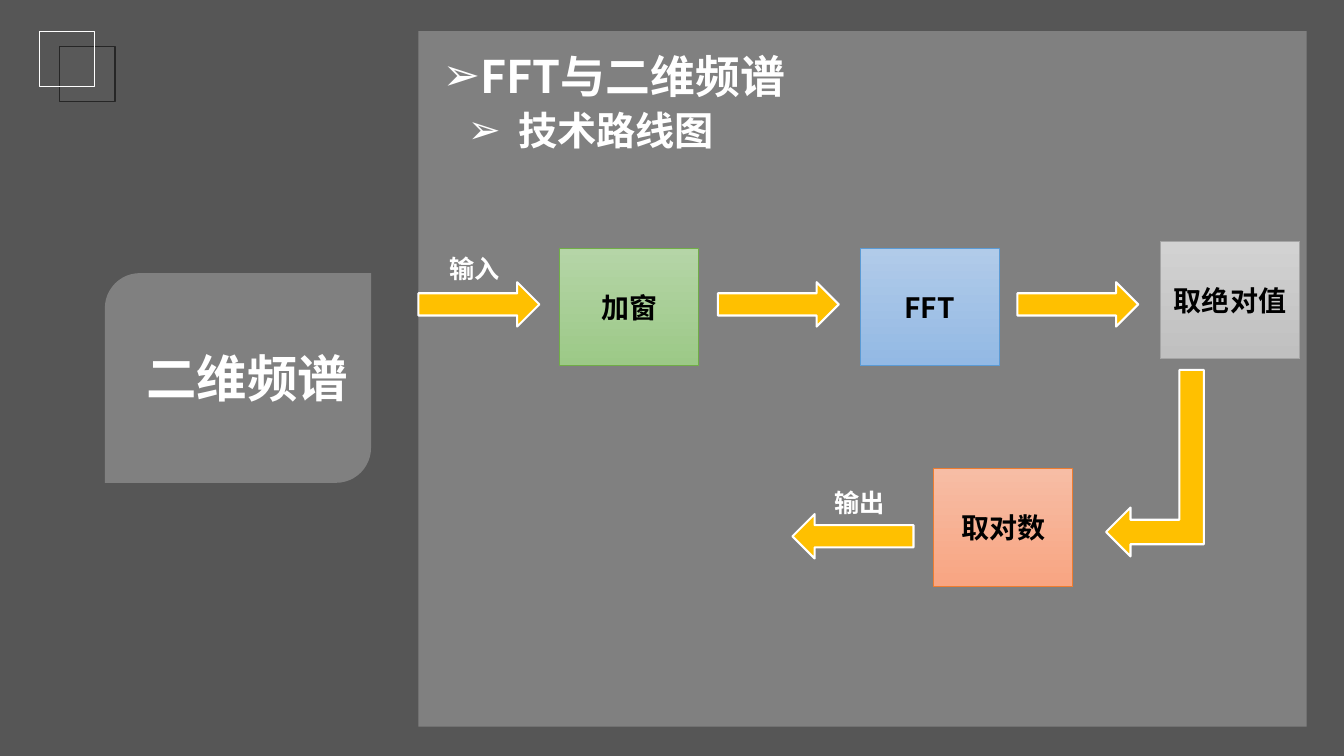
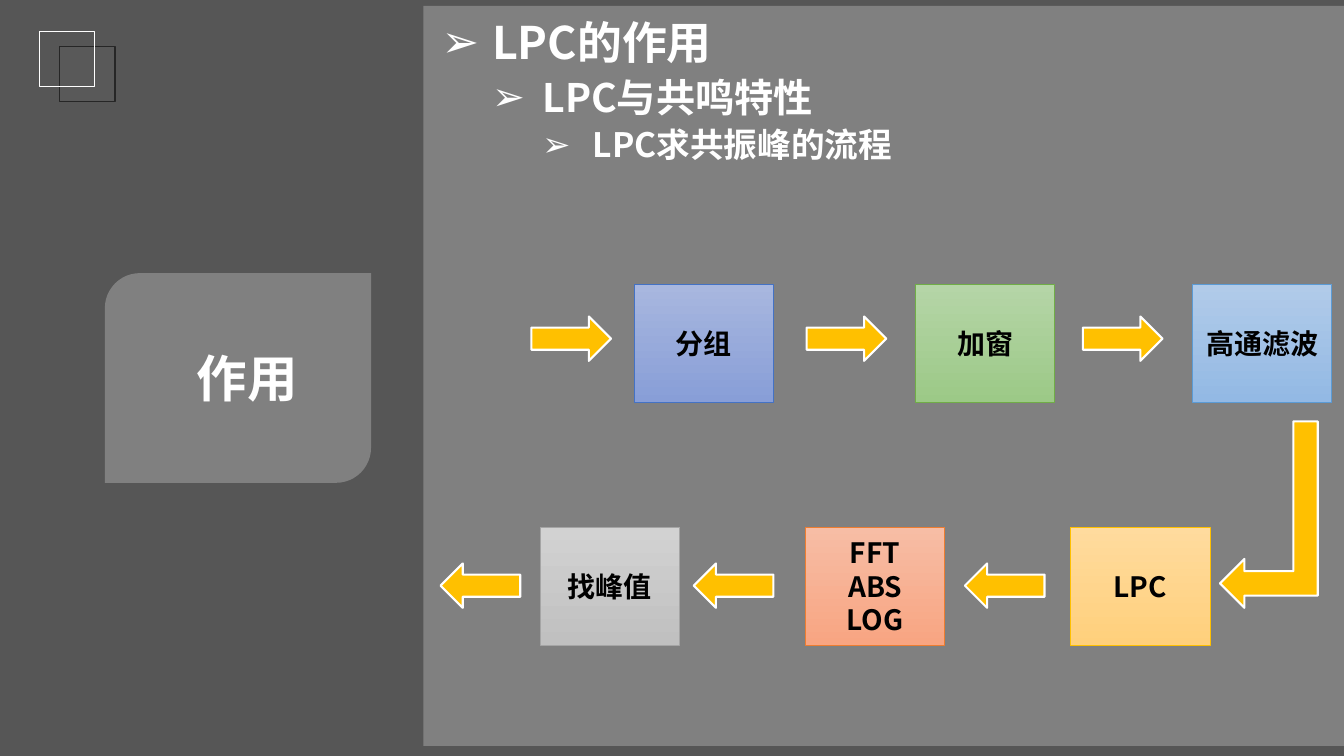
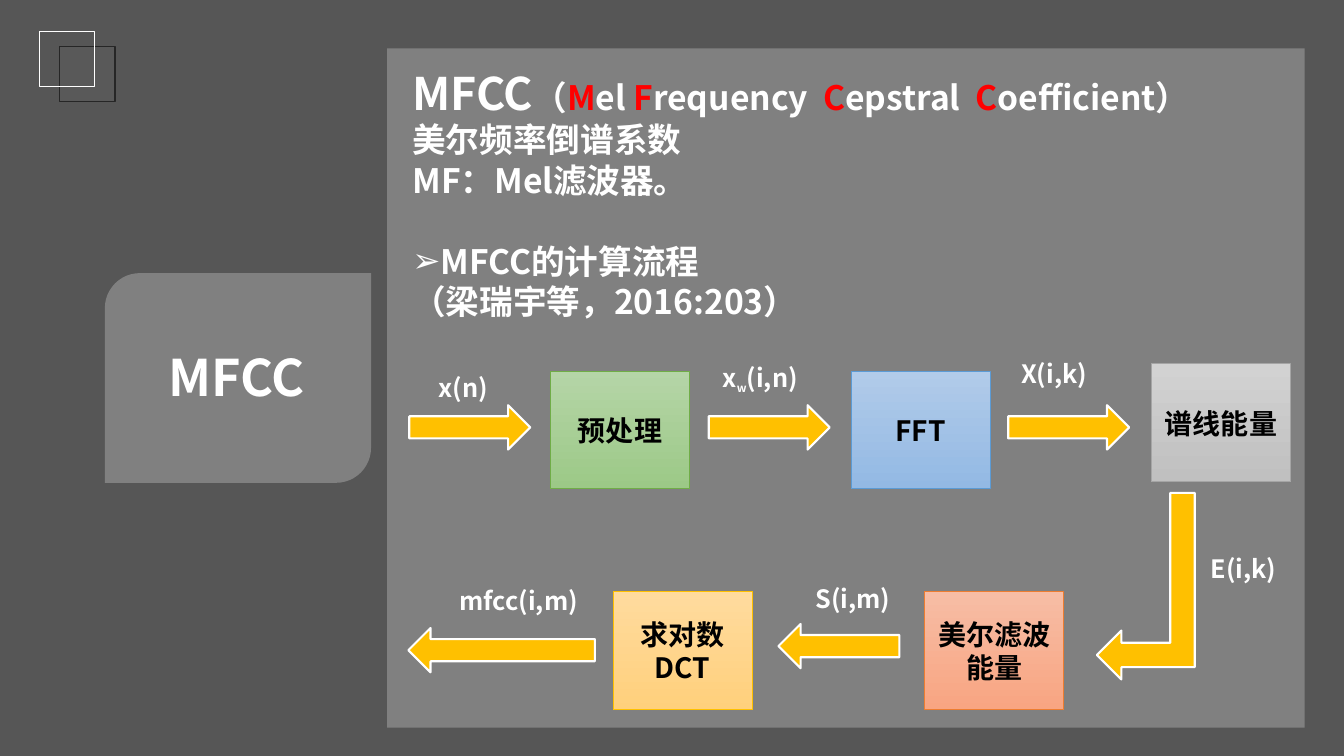
"""Build three slides of signal-processing flow charts on a dark theme."""
from lxml import etree
from pptx import Presentation
from pptx.dml.color import RGBColor
from pptx.enum.shapes import MSO_SHAPE
from pptx.enum.text import MSO_ANCHOR, MSO_AUTO_SIZE, PP_ALIGN
from pptx.oxml.ns import qn
from pptx.util import Inches, Pt

FONT = "Noto Sans CJK SC"
WHITE, BLACK, RED, GOLD = "FFFFFF", "000000", "FF0000", "FFC000"
BACK = "565656"
BOX = (1.38, 1.17)
HEAD = 0.44
TONES = {
    "green": ("B5D5A7", "9CC987", "70AD47"),
    "sky": ("B1CBE9", "93B9E4", "5B9BD5"),
    "gray": ("D2D2D2", "C0C0C0", "A5A5A5"),
    "coral": ("F7BDA5", "F8A582", "ED7D31"),
    "sand": ("FFDB9E", "FFD07C", "FFC000"),
    "blue": ("A8B7DF", "889ED7", "4472C4"),
}


def trunk(x, y, names):
    """Return boxes, arrows and bend of the three-step chain that turns back."""
    tones = ("green", "sky", "gray")
    tops = (0, 0, -0.07)
    boxes = [(x + 1.4 + 2.98 * i, y + tops[i], tones[i], names[i]) for i in range(3)]
    boxes.append((x + 5.11, y + 2.19, "coral", names[3]))
    arrows = [(x + 2.97 * i, y + 0.34, 1.2, 0) for i in range(3)]
    return boxes, arrows, (x + 6.38, y + 1.65)


BOXES1, ARROWS1, BEND1 = trunk(4.15, 2.46, ["加窗", "FFT", "取绝对值", "取对数"])
BOXES3, ARROWS3, BEND3 = trunk(4.06, 3.68, ["预处理", "FFT", "谱线能量", "美尔滤波能量"])

TOP = [(6.29, "blue", "分组"), (9.08, "green", "加窗"), (11.83, "sky", "高通滤波")]
LOW = [(5.36, "gray", "找峰值"), (7.99, "coral", "FFT\nABS\nLOG"), (10.62, "sand", "LPC")]

MEL = [("MFCC", 32), ("（", 24), ("M", 24, RED), ("el ", 24), ("F", 24, RED),
       ("requency  ", 24), ("C", 24, RED), ("epstral  ", 24), ("C", 24, RED),
       ("oefficient）", 24)]

# Body lines: runs, level, left margin, indent, bullet, space before.
SLIDES = [
    {
        "title": "二维频谱", "card": (1.14, 3.39),
        "panel": (4.15, 0.31, 8.81, 6.9), "body": (4.29, 0.43, 8.54, 6.64),
        "lines": [([("FFT与二维频谱", 32)], 0, 0.25, -0.5, True, 0),
                  ([("技术路线图", 28)], 1, 0.75, -0.5, True, 3)],
        "boxes": BOXES1,
        "arrows": ARROWS1 + [(7.86, 5.1, 1.2, 180)],
        "bend": BEND1,
        "labels": [(4.36, 2.46, [("输入", 18)]), (8.18, 4.79, [("输出", 18)])],
    },
    {
        "title": "作用", "card": (1.14, 3.39),
        "panel": (4.2, 0.06, 9.13, 7.34), "body": (4.28, 0.1, 9.05, 6.94),
        "lines": [([("LPC的作用", 32)], 0, 0.5, -0.5, True, 0),
                  ([("LPC与共鸣特性", 28)], 1, 1, -0.5, True, 3),
                  ([("LPC求共振峰的流程", 24)], 2, 1.5, -0.5, True, 3)],
        "boxes": [(x, y, tone, name) for y, row in ((2.82, TOP), (5.23, LOW))
                  for x, tone, name in row],
        "arrows": [(x, 3.14, 0.79, 0) for x in (5.27, 8, 10.74)]
        + [(x, 5.59, 0.79, 180) for x in (4.37, 6.88, 9.57)],
        "bend": (11.66, 4.62),
        "labels": [],
    },
    {
        "title": "MFCC", "card": (1.04, 3.38),
        "panel": (3.84, 0.48, 9.1, 6.74), "body": (3.99, 0.6, 8.95, 6.17),
        "lines": [(MEL, 0, 0, 0, False, 0),
                  ([("美尔频率倒谱系数", 24)], 0, 0, 0, False, 0),
                  ([("MF：Mel滤波器。", 24)], 0, 0, 0, False, 0),
                  ([("MFCC的计算流程", 24)], 0, 0, 0, True, 29),
                  ([("（梁瑞宇等，2016:203）", 24)], 0, 0, 0, False, 0)],
        "boxes": BOXES3 + [(6.08, 5.87, "sand", "求对数DCT")],
        "arrows": ARROWS3 + [(7.72, 6.19, 1.2, 180), (4.05, 6.23, 1.85, 180)],
        "bend": BEND3,
        "labels": [(4.25, 3.64, [("x(n)", 18)]),
                   (7.07, 3.55, [("x", 18), ("w", 14, WHITE, -25000), ("(i,n)", 18)]),
                   (10.03, 3.51, [("X(i,k)", 18)]),
                   (11.91, 5.44, [("E(i,k)", 18)]),
                   (7.99, 5.74, [("S(i,m)", 18)]),
                   (4.46, 5.76, [("mfcc(i,m)", 18)])],
    },
]


def tint(hue):
    """Turn a hex string into a colour."""
    return RGBColor.from_string(hue)


def style(run, size, hue=WHITE, base=None):
    """Format one run in the deck's bold face."""
    font = run.font
    font.size, font.bold, font.name = Pt(size), True, FONT
    font.color.rgb = tint(hue)
    props = run._r.get_or_add_rPr()
    etree.SubElement(props, qn("a:ea")).set("typeface", FONT)
    if base:
        props.set("baseline", str(base))


def write(para, runs):
    """Fill a paragraph with styled runs."""
    for text, *look in runs:
        run = para.add_run()
        run.text = text
        style(run, *look)


def place(shape, x, y, w, h):
    """Move and size a shape in inches."""
    shape.left, shape.top = Inches(x), Inches(y)
    shape.width, shape.height = Inches(w), Inches(h)


def draw(slide, kind, at, fill=None, line=None, width=1, alpha=None):
    """Add a flat preset shape."""
    shape = slide.shapes.add_shape(kind, *map(Inches, at))
    shape.shadow.inherit = False
    if fill:
        shape.fill.solid()
        shape.fill.fore_color.rgb = tint(fill)
    else:
        shape.fill.background()
    if alpha:
        hue = shape.fill._xPr.find(qn("a:solidFill"))[0]
        etree.SubElement(hue, qn("a:alpha")).set("val", str(alpha * 1000))
    if line:
        shape.line.color.rgb = tint(line)
        shape.line.width = Pt(width)
    else:
        shape.line.fill.background()
    return shape


def frame(slide, data):
    """Add the corner squares, title card and panel, with the title on top."""
    draw(slide, MSO_SHAPE.RECTANGLE, (0.59, 0.46, 0.55, 0.55), "595959", "262626")
    draw(slide, MSO_SHAPE.RECTANGLE, (0.39, 0.31, 0.55, 0.55), None, WHITE)
    draw(slide, MSO_SHAPE.ROUND_2_DIAG_RECTANGLE, (1.04, 2.71, 2.64, 2.08), WHITE, alpha=25)
    draw(slide, MSO_SHAPE.RECTANGLE, data["panel"], WHITE, alpha=25)
    title, body = slide.shapes.title, slide.placeholders[1]
    place(title, *data["card"], 2.62, 0.48)
    place(body, *data["body"])
    for holder in (title, body):
        slide.shapes._spTree.append(holder._element)
        area = holder.text_frame
        area.auto_size = MSO_AUTO_SIZE.NONE
        area.vertical_anchor = MSO_ANCHOR.TOP
    title.text_frame.word_wrap = False
    para = title.text_frame.paragraphs[0]
    para.alignment = PP_ALIGN.CENTER
    write(para, [(data["title"], 36)])
    return body.text_frame


def fill_list(area, lines):
    """Write the body lines with their bullets and indents."""
    for i, (runs, level, left, dent, mark, gap) in enumerate(lines):
        para = area.add_paragraph() if i else area.paragraphs[0]
        para.level = level
        para.space_before = Pt(gap)
        props = para._p.get_or_add_pPr()
        props.set("marL", str(Inches(left)))
        props.set("indent", str(Inches(dent)))
        if mark:
            etree.SubElement(props, qn("a:buChar")).set("char", "➢")
        else:
            etree.SubElement(props, qn("a:buNone"))
        write(para, runs)


def add_box(slide, x, y, tone, text):
    """Add a gradient step box."""
    light, dark, edge = TONES[tone]
    box = draw(slide, MSO_SHAPE.RECTANGLE, (x, y, *BOX), light, edge, 0.5)
    box.fill.gradient()
    box.fill.gradient_angle = 270
    for stop, hue in zip(box.fill.gradient_stops, (light, dark)):
        stop.color.rgb = tint(hue)
    area = box.text_frame
    area.text = text
    area.vertical_anchor = MSO_ANCHOR.MIDDLE
    for para in area.paragraphs:
        para.alignment = PP_ALIGN.CENTER
        for run in para.runs:
            style(run, 20, BLACK)


def add_flow(slide, data):
    """Add the boxes, arrows and labels of a chart."""
    for box in data["boxes"]:
        add_box(slide, *box)
    for x, y, w, turn in data["arrows"]:
        arrow = draw(slide, MSO_SHAPE.RIGHT_ARROW, (x, y, w, HEAD), GOLD, WHITE, 1.5)
        arrow.rotation = turn
    bend = draw(slide, MSO_SHAPE.BENT_UP_ARROW, (*data["bend"], 1.85, 0.97), GOLD, WHITE, 1.5)
    bend.rotation = 270
    bend._element.spPr.find(qn("a:xfrm")).set("flipH", "1")
    for x, y, runs in data["labels"]:
        width = 0.88 if len(runs[0][0]) == 2 else 1.4
        label = slide.shapes.add_textbox(Inches(x), Inches(y), Inches(width), Inches(0.4))
        label.text_frame.word_wrap = True
        write(label.text_frame.paragraphs[0], runs)


def main():
    """Build and save the deck."""
    deck = Presentation()
    deck.slide_width, deck.slide_height = Inches(13.33), Inches(7.5)
    back = deck.slide_master.background.fill
    back.solid()
    back.fore_color.rgb = tint(BACK)
    for data in SLIDES:
        slide = deck.slides.add_slide(deck.slide_layouts[1])
        fill_list(frame(slide, data), data["lines"])
        add_flow(slide, data)
    deck.save("out.pptx")


if __name__ == "__main__":
    main()
